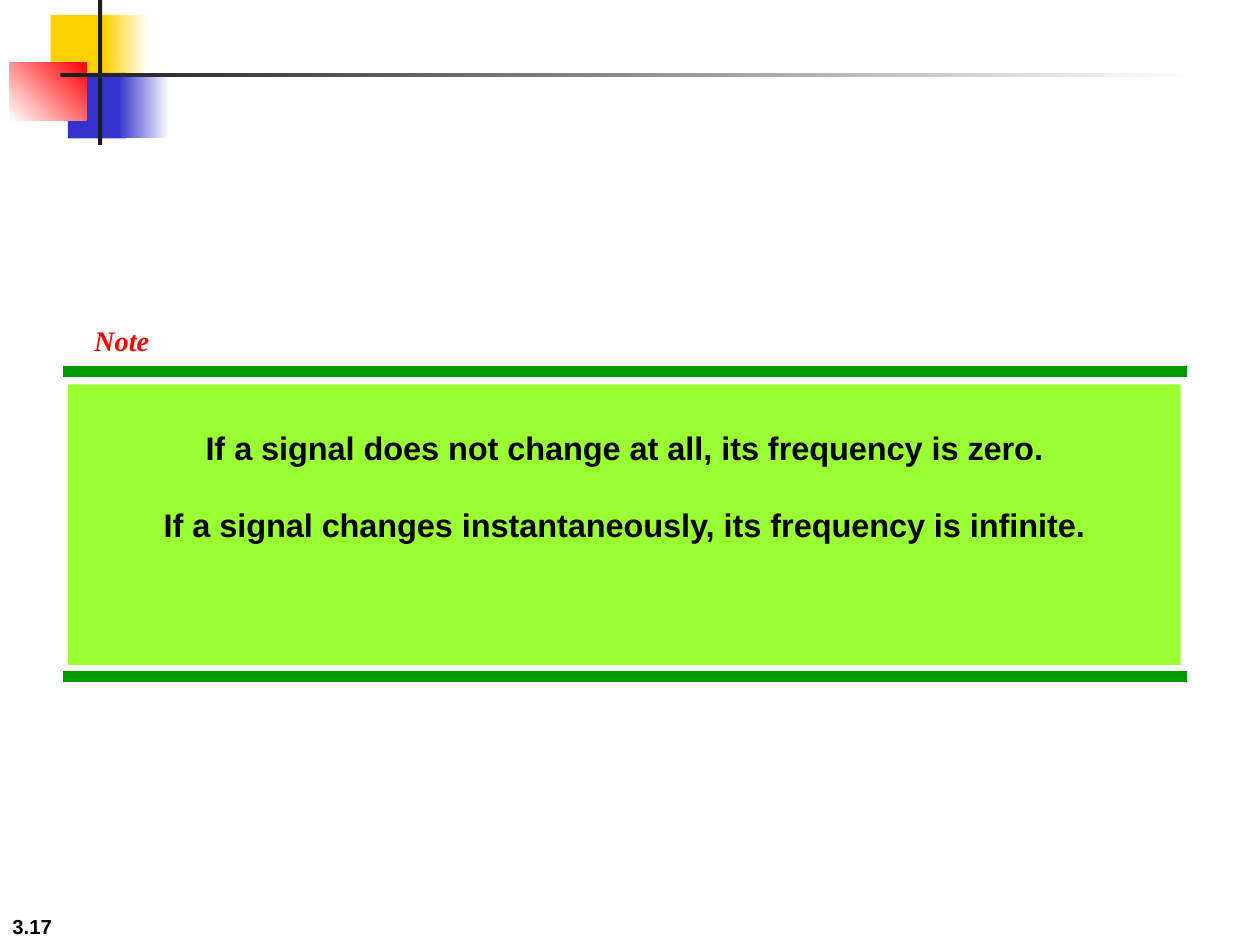
from pptx import Presentation
from pptx.dml.color import RGBColor
from pptx.enum.shapes import MSO_CONNECTOR as Link, MSO_SHAPE as Kind
from pptx.enum.text import MSO_ANCHOR as Anchor, PP_ALIGN as Align
from pptx.oxml.ns import qn
from pptx.util import Cm, Pt
from lxml.etree import SubElement

WHITE = RGBColor(0xFF, 0xFF, 0xFF)
BLACK = RGBColor(0x00, 0x00, 0x00)
DARK = RGBColor(0x1C, 0x1C, 0x1C)
GOLD = RGBColor(0xFF, 0xCF, 0x01)
BLUE = RGBColor(0x33, 0x33, 0xCC)
RED = RGBColor(0xFF, 0x00, 0x00)
GREEN = RGBColor(0x00, 0x99, 0x00)
LIME = RGBColor(0x99, 0xFF, 0x33)


def write(frame, text, font="Arial", size=20, color=BLACK, slant=False,
          align=Align.LEFT, anchor=Anchor.TOP, shift=-25):
    frame.word_wrap = True
    frame.vertical_anchor = anchor
    for num, line in enumerate(text.split("\n")):
        para = frame.add_paragraph() if num else frame.paragraphs[0]
        para.alignment = align
        run = para.add_run()
        run.text = line
        run.font.name = font
        run.font.size = Pt(size)
        run.font.bold = True
        run.font.italic = slant
        run.font.color.rgb = color
        run._r.get_or_add_rPr().set("baseline", str(shift * 1000))


class Deck:
    def __init__(self):
        self.show = Presentation()
        self.show.slide_width = Cm(25.4)
        self.show.slide_height = Cm(19.05)
        self.slide = self.show.slides.add_slide(self.show.slide_layouts[6])

    def block(self, left, top, width, height, color, fade=None, angle=0):
        shape = self.slide.shapes.add_shape(
            Kind.RECTANGLE, Cm(left), Cm(top), Cm(width), Cm(height))
        shape.shadow.inherit = False
        shape.line.fill.background()
        if fade is None:
            shape.fill.solid()
            shape.fill.fore_color.rgb = color
        else:
            shape.fill.gradient()
            shape.fill.gradient_angle = angle
            for stop, tone in zip(shape.fill.gradient_stops, (color, fade)):
                stop.color.rgb = tone
        return shape

    def rule(self, left, right, top, color, width):
        line = self.slide.shapes.add_connector(
            Link.STRAIGHT, Cm(left), Cm(top), Cm(right), Cm(top))
        line.line.color.rgb = color
        line.line.width = Pt(width)
        SubElement(line._element.spPr, qn("a:effectLst"))

    def label(self, left, top, width, height, text, **style):
        box = self.slide.shapes.add_textbox(
            Cm(left), Cm(top), Cm(width), Cm(height))
        write(box.text_frame, text, **style)


def main():
    deck = Deck()
    deck.label(0, 17.78, 5.28, 1.27, "3.17", anchor=Anchor.BOTTOM)

    deck.block(1.02, 0.3, 1.22, 1.32, GOLD)
    deck.block(2.08, 0.3, 0.91, 1.32, GOLD, fade=WHITE)
    deck.block(1.37, 1.47, 1.17, 1.32, BLUE)
    deck.block(2.39, 1.47, 1.02, 1.32, BLUE, fade=WHITE)
    deck.block(0.2, 1.27, 1.55, 1.17, WHITE, fade=RED, angle=45)
    deck.block(1.98, 0, 0.08, 2.92, DARK)
    deck.block(1.22, 1.47, 22.86, 0.08, DARK, fade=WHITE)

    for top in (7.49, 13.64):
        deck.rule(1.27, 23.93, top, GREEN, 6)
    panel = deck.block(1.37, 7.75, 22.43, 5.66, LIME)
    write(panel.text_frame,
          "If a signal does not change at all, its frequency is zero.\n"
          "If a signal changes instantaneously, its frequency is infinite.",
          size=32, align=Align.CENTER)
    deck.label(1.65, 5.72, 2.44, 1.45, "Note", font="Times New Roman",
               size=28, color=RED, slant=True)
    deck.show.save("out.pptx")


if __name__ == "__main__":
    main()
